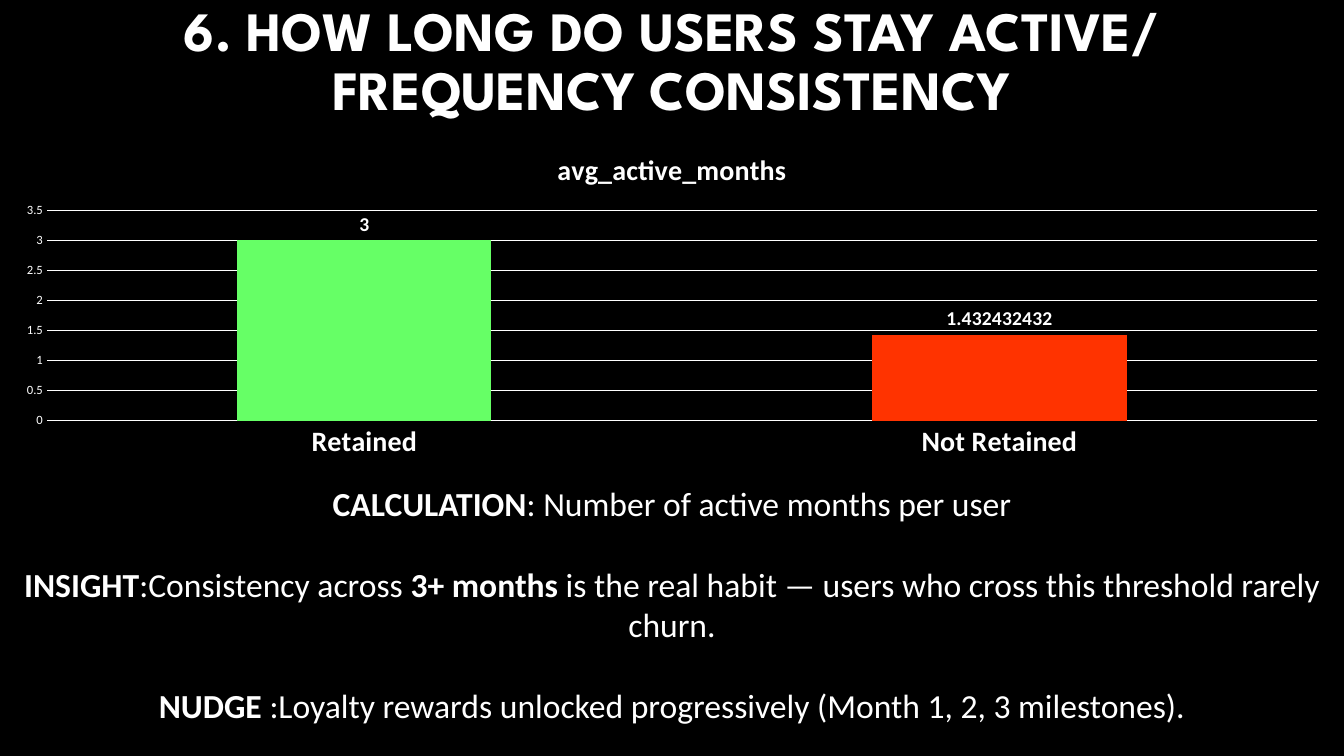
from typing import NamedTuple

from lxml import etree
from pptx import Presentation
from pptx.chart.data import CategoryChartData
from pptx.dml.color import RGBColor
from pptx.enum.chart import XL_CHART_TYPE, XL_LABEL_POSITION, XL_TICK_MARK
from pptx.enum.text import MSO_ANCHOR, MSO_AUTO_SIZE, PP_ALIGN
from pptx.oxml.ns import qn
from pptx.util import Emu, Pt

COLUMN = XL_CHART_TYPE.COLUMN_CLUSTERED
OUTSIDE_END = XL_LABEL_POSITION.OUTSIDE_END
NO_TICK = XL_TICK_MARK.NONE
MIDDLE = MSO_ANCHOR.MIDDLE
NO_AUTOFIT = MSO_AUTO_SIZE.NONE
CENTER = PP_ALIGN.CENTER

EMU_PER_PX = 914400 / 100.8
WIDTH, HEIGHT = 1344, 756
WHITE, BLACK = "FFFFFF", "000000"
BODY_FONT, TITLE_FONT = "Calibri", "League Spartan"


class Box(NamedTuple):
    left: int
    top: int
    width: int
    height: int


class Bar(NamedTuple):
    category: str
    months: float
    label: str
    color: str


class Span(NamedTuple):
    text: str
    bold: bool = False


TITLE = "6. HOW LONG DO USERS STAY ACTIVE/ FREQUENCY CONSISTENCY"
TITLE_BOX = Box(92, 40, 1159, 46)
CHART_BOX = Box(0, 133, WIDTH, 333)
NOTES_BOX = Box(0, 478, WIDTH, 278)
SERIES = "avg_active_months"
BARS = [
    Bar("Retained", 3, "3", "66FF66"),
    Bar("Not Retained", 1.4324, "1.432432432", "FF3300"),
]
FINDINGS = [
    [Span("CALCULATION", True), Span(": Number of active months per user")],
    [
        Span("INSIGHT", True),
        Span(":Consistency across "),
        Span("3+ months", True),
        Span(" is the real habit — users who cross this threshold rarely churn."),
    ],
    [
        Span("NUDGE", True),
        Span(" :Loyalty rewards unlocked progressively (Month 1, 2, 3 milestones)."),
    ],
]


def px(n: int) -> Emu:
    return Emu(round(n * EMU_PER_PX))


def emu_box(box: Box) -> list[Emu]:
    return [px(n) for n in box]


def paint(fill, color: str) -> None:
    fill.solid()
    fill.fore_color.rgb = RGBColor.from_string(color)


def style(font, size: float, bold: bool = False, name: str = BODY_FONT) -> None:
    font.name = name
    font.size = Pt(size)
    font.bold = bold
    paint(font.fill, WHITE)


def add_title(slide) -> None:
    sp = slide.shapes.title
    sp.left, sp.top, sp.width, sp.height = emu_box(TITLE_BOX)
    tf = sp.text_frame
    tf.text = TITLE
    tf.word_wrap = True
    tf.auto_size = NO_AUTOFIT
    tf.vertical_anchor = MIDDLE
    p = tf.paragraphs[0]
    p.alignment = CENTER
    p.line_spacing = 0.9
    style(p.runs[0].font, 39.6, True, TITLE_FONT)


def style_axis(axis, size: float, bold: bool = False) -> None:
    axis.major_tick_mark = axis.minor_tick_mark = NO_TICK
    axis.format.line.fill.background()
    style(axis.tick_labels.font, size, bold)


def add_months_chart(slide) -> None:
    data = CategoryChartData()
    data.categories = [bar.category for bar in BARS]
    data.add_series(SERIES, [bar.months for bar in BARS])
    chart = slide.shapes.add_chart(COLUMN, *emu_box(CHART_BOX), data).chart
    style(chart.font, 10)
    chart.has_legend = False
    chart.has_title = True
    tf = chart.chart_title.text_frame
    tf.text = SERIES
    style(tf.paragraphs[0].runs[0].font, 20, True)
    etree.SubElement(chart.chart_title._element, qn("c:overlay")).set("val", "0")

    style_axis(chart.category_axis, 20, True)
    style_axis(chart.value_axis, 9)
    grid = chart.value_axis.major_gridlines.format.line
    grid.width = Pt(0.75)
    paint(grid.fill, WHITE)

    plot = chart.plots[0]
    plot.vary_by_categories = False
    plot.gap_width = 150
    series = plot.series[0]
    paint(series.format.fill, "4472C4")
    labels = series.data_labels
    labels.show_value = True
    labels.position = OUTSIDE_END
    style(labels.font, 14, True)
    for i, bar in enumerate(BARS):
        point = series.points[i]
        paint(point.format.fill, bar.color)
        label = point.data_label
        label.text_frame.text = bar.label
        label.position = OUTSIDE_END
        style(label.text_frame.paragraphs[0].runs[0].font, 14, True)


def add_findings(slide) -> None:
    tf = slide.shapes.add_textbox(*emu_box(NOTES_BOX)).text_frame
    tf.word_wrap = True
    for i, spans in enumerate(FINDINGS):
        p = tf.add_paragraph() if i else tf.paragraphs[0]
        p.alignment = CENTER
        p.space_before = Pt(29 if i else 0)
        for span in spans:
            r = p.add_run()
            r.text = span.text
            style(r.font, 24, span.bold)


def main() -> None:
    prs = Presentation()
    prs.slide_width, prs.slide_height = px(WIDTH), px(HEIGHT)
    slide = prs.slides.add_slide(prs.slide_layouts.get_by_name("Title Only"))
    paint(slide.background.fill, BLACK)
    add_title(slide)
    add_months_chart(slide)
    add_findings(slide)
    prs.save("out.pptx")


if __name__ == "__main__":
    main()
